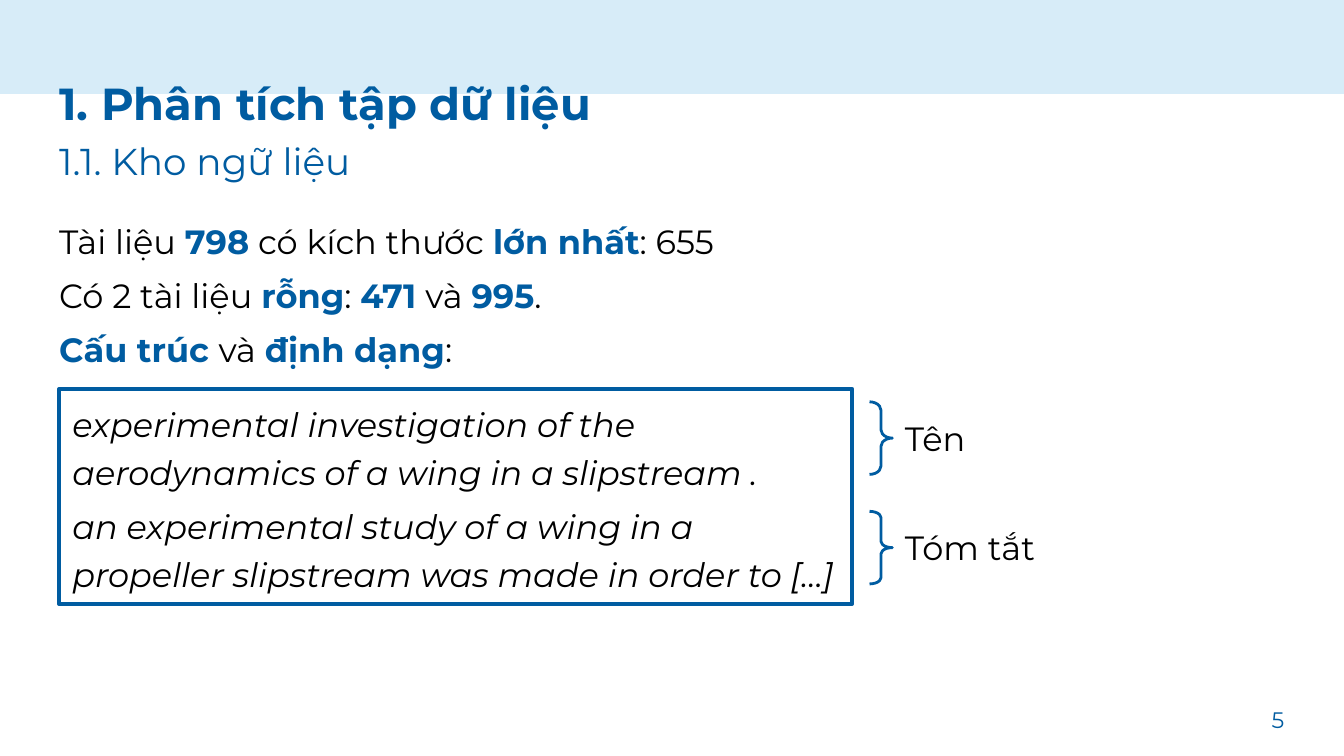
from dataclasses import dataclass

from lxml import etree
from pptx import Presentation
from pptx import util as u
from pptx.dml.color import RGBColor
from pptx.enum import shapes, text
from pptx.oxml import ns

PX = 4572
FONT = "Montserrat"
BLUE = RGBColor(0x00, 0x5C, 0xA1)
PALE = RGBColor(0xD7, 0xEC, 0xF8)
BLACK = RGBColor(0, 0, 0)


@dataclass(frozen=True)
class Run:
    text: str
    size: int = 18
    color: RGBColor = BLACK
    bold: bool = False
    italic: bool = False


@dataclass(frozen=True)
class Part:
    label: str
    top: int
    label_width: int
    curl: float


def key(words: str) -> Run:
    return Run(words, color=BLUE, bold=True)


TITLE = Run("1. Phân tích tập dữ liệu", 24, BLUE, True)
SUBTITLE = Run("1.1. Kho ngữ liệu", 20, BLUE)
FACTS = [
    [Run("Tài liệu "), key("798"), Run(" có kích thước "), key("lớn nhất"), Run(": 655")],
    [Run("Có 2 tài liệu "), key("rỗng"), Run(": "), key("471"), Run(" và "),
     key("995"), Run(".")],
    [key("Cấu trúc "), Run("và "), key("định dạng"), Run(":")],
]
SAMPLE = [
    [Run("experimental investigation of the aerodynamics of a wing in a slipstream .",
         italic=True)],
    [Run("an experimental study of a wing in a propeller slipstream was made in order to […]",
         italic=True)],
]
PARTS = [Part("Tên", 598, 202, 0.36), Part("Tóm tắt", 761, 300, 0.27)]


def place(sp, left: int, top: int, width: int, height: int) -> None:
    sp.left, sp.top, sp.width, sp.height = (v * PX for v in (left, top, width, height))


def add_run(p, run: Run) -> None:
    r = p.add_run()
    r.text = run.text
    f = r.font
    f.name, f.size, f.bold, f.italic = FONT, u.Pt(run.size), run.bold, run.italic
    f.color.rgb = run.color


def setup_frame(sp, inset_x: int = 20, inset_y: int = 20, anchor=text.MSO_ANCHOR.TOP):
    tf = sp.text_frame
    tf.word_wrap = True
    tf.auto_size = text.MSO_AUTO_SIZE.NONE
    tf.vertical_anchor = anchor
    tf.margin_left = tf.margin_right = inset_x * PX
    tf.margin_top = tf.margin_bottom = inset_y * PX
    return tf


def write(tf, paragraphs: list[list[Run]], spacing: float = 1.0, before: int = 0,
          after: int = 0, align=text.PP_ALIGN.LEFT) -> None:
    for i, runs in enumerate(paragraphs):
        p = tf.paragraphs[0] if i == 0 else tf.add_paragraph()
        p.alignment, p.line_spacing = align, spacing
        p.space_before, p.space_after = u.Pt(before), u.Pt(after)
        for run in runs:
            add_run(p, run)


def remove_bullets(tf) -> None:
    for p in tf.paragraphs:
        props = p._p.get_or_add_pPr()
        props.set("marL", "0")
        props.set("indent", "0")
        etree.SubElement(props, ns.qn("a:buNone"))


def add_outline(slide, kind, box: tuple[int, int, int, int], weight: float):
    sp = slide.shapes.add_shape(kind, *(v * PX for v in box))
    sp.shadow.inherit = False
    sp.fill.background()
    sp.line.color.rgb = BLUE
    sp.line.width = u.Pt(weight)
    return sp


def add_label(slide, box: tuple[int, int, int, int], run: Run, inset_y: int = 10,
              anchor=text.MSO_ANCHOR.TOP, align=text.PP_ALIGN.LEFT) -> None:
    sp = slide.shapes.add_textbox(*(v * PX for v in box))
    write(setup_frame(sp, inset_y=inset_y, anchor=anchor), [[run]], align=align)


def add_part(slide, part: Part) -> None:
    brace = add_outline(slide, shapes.MSO_SHAPE.RIGHT_BRACE, (1294, part.top, 34, 108), 1.5)
    brace.adjustments[0] = part.curl
    add_label(slide, (1327, part.top + 14, part.label_width, 80), Run(part.label))


def main() -> None:
    prs = Presentation()
    prs.slide_width, prs.slide_height = 2000 * PX, 1125 * PX
    slide = prs.slides.add_slide(prs.slide_layouts[1])
    title, body = slide.shapes.title, slide.placeholders[1]

    band = slide.shapes.add_shape(shapes.MSO_SHAPE.RECTANGLE, 0, 0, 2000 * PX, 140 * PX)
    band.shadow.inherit = False
    band.fill.solid()
    band.fill.fore_color.rgb = PALE
    band.line.fill.background()
    title._element.addprevious(band._element)

    place(title, 68, 77, 1864, 220)
    tf = setup_frame(title)
    write(tf, [[TITLE]], 1.2)
    tf.paragraphs[0].add_line_break()
    add_run(tf.paragraphs[0], SUBTITLE)

    place(body, 68, 297, 1860, 700)
    tf = setup_frame(body)
    write(tf, FACTS, 1.2, before=3)
    remove_bullets(tf)

    add_label(slide, (1811, 1028, 120, 86), Run("5", 12, BLUE), 20,
              text.MSO_ANCHOR.MIDDLE, text.PP_ALIGN.RIGHT)

    sample = add_outline(slide, shapes.MSO_SHAPE.RECTANGLE, (88, 579, 1180, 320), 2.25)
    write(setup_frame(sample, inset_y=10), SAMPLE, 1.2, after=3)
    for part in PARTS:
        add_part(slide, part)

    prs.save("out.pptx")


if __name__ == "__main__":
    main()
